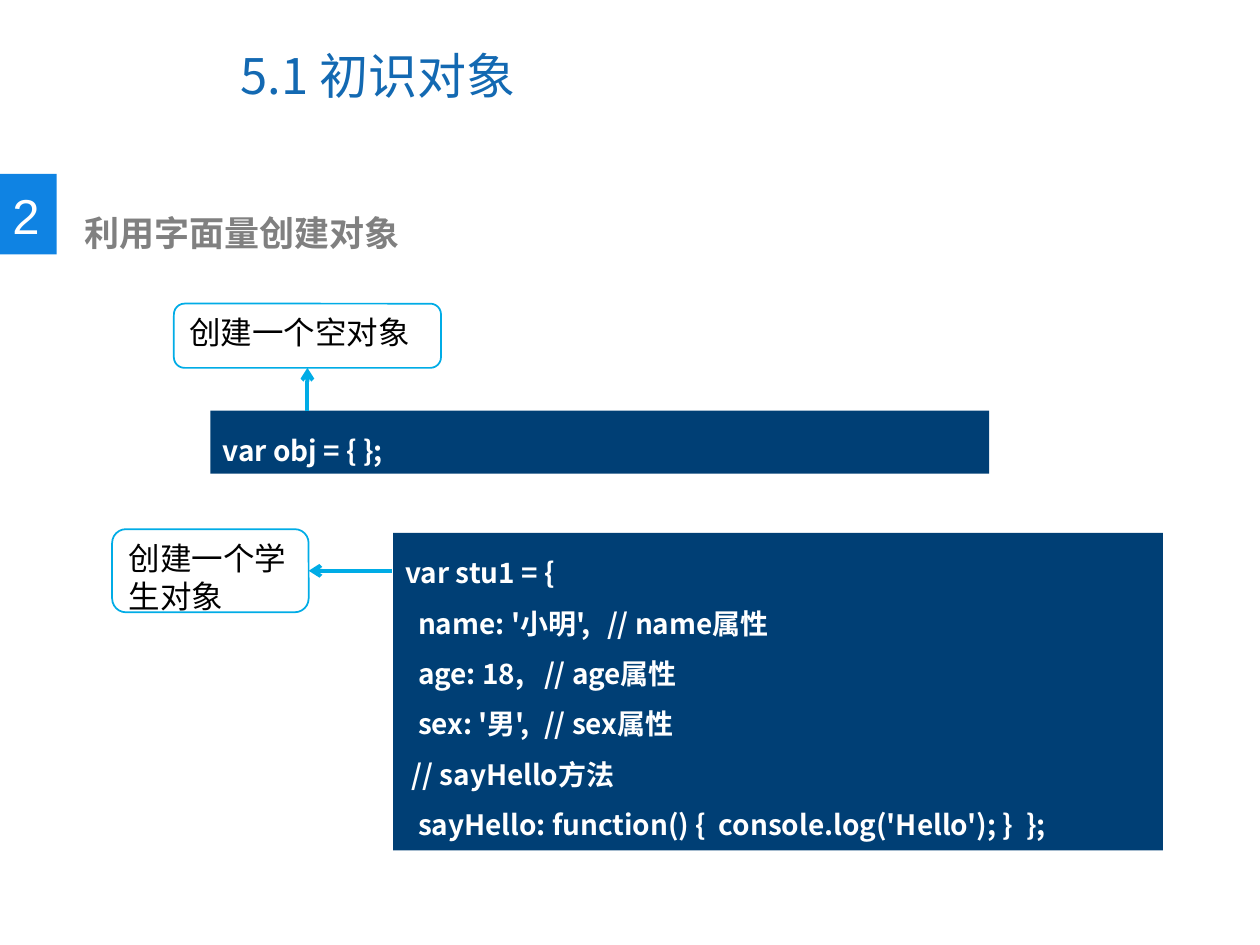
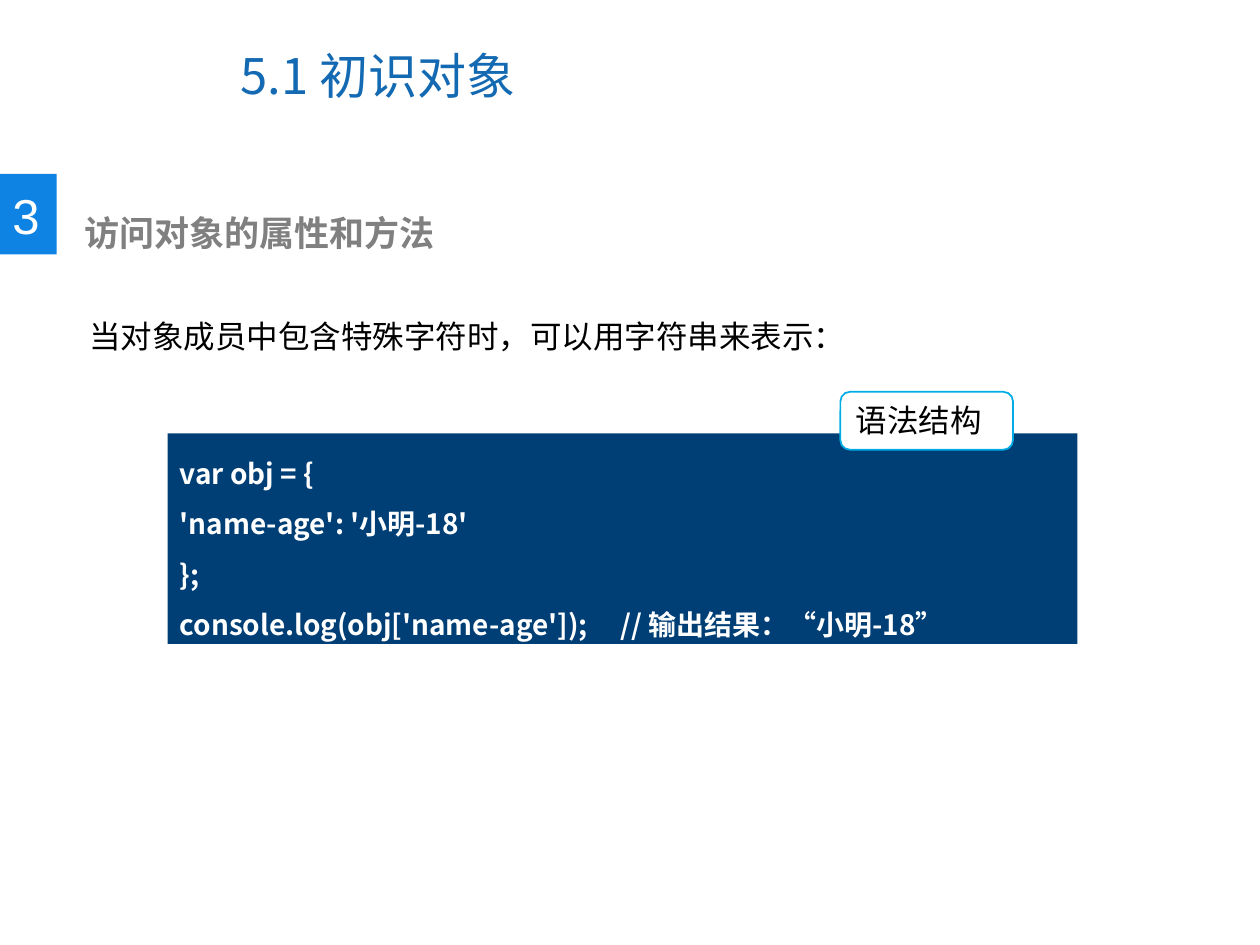
from dataclasses import dataclass

from lxml import etree
from pptx import Presentation
from pptx.dml.color import RGBColor
from pptx.enum.shapes import MSO_CONNECTOR, MSO_SHAPE
from pptx.enum.text import MSO_ANCHOR, MSO_AUTO_SIZE, PP_ALIGN
from pptx.oxml.ns import qn
from pptx.util import Inches, Pt


@dataclass(frozen=True)
class Theme:
    title: str = "1369B2"
    badge: str = "0F83E3"
    heading: str = "808080"
    code: str = "003F75"
    accent: str = "00ACE6"
    black: str = "000000"
    white: str = "FFFFFF"
    latin: str = "Arial"
    cjk: str = "Noto Sans CJK SC"
    title_size: int = 28
    heading_size: int = 20
    body_size: int = 18
    code_size: int = 16


T = Theme()


def rgb(value):
    return RGBColor.from_string(value)


def add_run(p, text, size, color, font=T.latin, bold=False):
    r = p.add_run()
    r.text = text
    r.font.size, r.font.bold, r.font.name = Pt(size), bold, font
    r.font.color.rgb = rgb(color)
    etree.SubElement(r.font._element, qn("a:ea")).set("typeface", T.cjk)


def write(sp, lines, *, spacing=None, left=0.1, top=0.05, **run_format):
    """Fill a shape with lines; leading spaces become a paragraph indent."""
    tf = sp.text_frame
    tf.word_wrap = True
    tf.auto_size = MSO_AUTO_SIZE.NONE
    tf.vertical_anchor = MSO_ANCHOR.TOP
    tf.margin_left, tf.margin_top = Inches(left), Inches(top)
    for i, line in enumerate(lines):
        p = tf.paragraphs[0] if i == 0 else tf.add_paragraph()
        p.alignment = PP_ALIGN.LEFT
        if spacing:
            p.line_spacing = spacing
        text = line.lstrip(" ")
        indent = len(line) - len(text)
        if indent:
            pPr = p._p.get_or_add_pPr()
            pPr.set("marL", str(Inches(0.05 * indent)))
            pPr.set("indent", "0")
        add_run(p, text, **run_format)


def add_box(slide, kind, box, fill, line=None):
    sp = slide.shapes.add_shape(kind, *map(Inches, box))
    sp.shadow.inherit = False
    sp.fill.solid()
    sp.fill.fore_color.rgb = rgb(fill)
    if line:
        sp.line.color.rgb = rgb(line)
        sp.line.width = Pt(1)
    else:
        sp.line.fill.background()
    return sp


def add_text(slide, box, lines, **text_format):
    sp = slide.shapes.add_textbox(*map(Inches, box))
    write(sp, lines, **text_format)


def add_code(slide, box, lines):
    sp = add_box(slide, MSO_SHAPE.RECTANGLE, box, T.code)
    write(sp, lines, spacing=1.5, size=T.code_size, color=T.white,
          font=T.cjk, bold=True)


def add_callout(slide, box, text):
    sp = add_box(slide, MSO_SHAPE.ROUNDED_RECTANGLE, box, T.white, T.accent)
    write(sp, [text], size=T.body_size, color=T.black)
    return sp


def add_arrow(slide, start, callout, site):
    """Draw an arrow from a point to a connection site of a callout."""
    x, y = map(Inches, start)
    line = slide.shapes.add_connector(MSO_CONNECTOR.STRAIGHT, x, y, x, y)
    line.end_connect(callout, site)
    # Keep the arrow square to the side it meets.
    if site in (0, 2):
        line.begin_x = line.end_x
    else:
        line.begin_y = line.end_y
    line.line.color.rgb = rgb(T.accent)
    line.line.width = Pt(2.25)
    etree.SubElement(line.line._get_or_add_ln(), qn("a:tailEnd")).set("type", "arrow")
    etree.SubElement(line._element.spPr, qn("a:effectLst"))


def add_section_slide(prs, number, heading):
    slide = prs.slides.add_slide(prs.slide_layouts[5])
    badge = add_box(slide, MSO_SHAPE.RECTANGLE, (0, 1.38, 0.45, 0.64), T.badge)
    write(badge, [number], top=0.09, size=T.title_size, color=T.white)
    badge.text_frame.margin_right = 0

    title = slide.shapes.title
    title.left, title.top, title.width, title.height = map(
        Inches, (1.81, 0.17, 5.16, 0.85))
    write(title, ["5.1 "], size=T.title_size, color=T.title, font=T.cjk)
    add_run(title.text_frame.paragraphs[0], "初识对象", T.title_size, T.title)
    title.text_frame.vertical_anchor = MSO_ANCHOR.MIDDLE

    add_text(slide, (0.47, 1.63, 5.14, 0.44), [heading], left=0.2,
             size=T.heading_size, color=T.heading, bold=True)
    return slide


def add_literal_slide(prs):
    slide = add_section_slide(prs, "2", "利用字面量创建对象")
    add_code(slide, (1.67, 3.26, 6.18, 0.5), ["var obj = { };"])
    empty = add_callout(slide, (1.38, 2.41, 2.12, 0.51), "创建一个空对象")
    add_arrow(slide, (2.44, 3.26), empty, 2)

    add_code(slide, (3.12, 4.23, 6.11, 2.52), [
        "var stu1 = {",
        "  name: '小明',\t// name属性",
        "  age: 18,\t// age属性",
        "  sex: '男',\t// sex属性",
        " // sayHello方法",
        "  sayHello: function() {  console.log('Hello'); }  };",
    ])
    student = add_callout(slide, (0.89, 4.2, 1.56, 0.66), "创建一个学生对象")
    add_arrow(slide, (3.11, 4.53), student, 3)


def add_access_slide(prs):
    slide = add_section_slide(prs, "3", "访问对象的属性和方法")
    add_text(slide, (0.61, 2.17, 8.65, 0.61),
             ["当对象成员中包含特殊字符时，可以用字符串来表示："],
             spacing=2.0, size=T.body_size, color=T.black)
    add_code(slide, (1.33, 3.44, 7.22, 1.67), [
        "var obj = {",
        "'name-age': '小明-18'",
        "};",
        "console.log(obj['name-age']);\t// 输出结果：“小明-18”",
    ])
    add_callout(slide, (6.67, 3.11, 1.37, 0.46), "语法结构")


def main():
    prs = Presentation()
    prs.slide_width, prs.slide_height = Inches(10), Inches(7.5)
    add_literal_slide(prs)
    add_access_slide(prs)
    prs.save("out.pptx")


if __name__ == "__main__":
    main()
